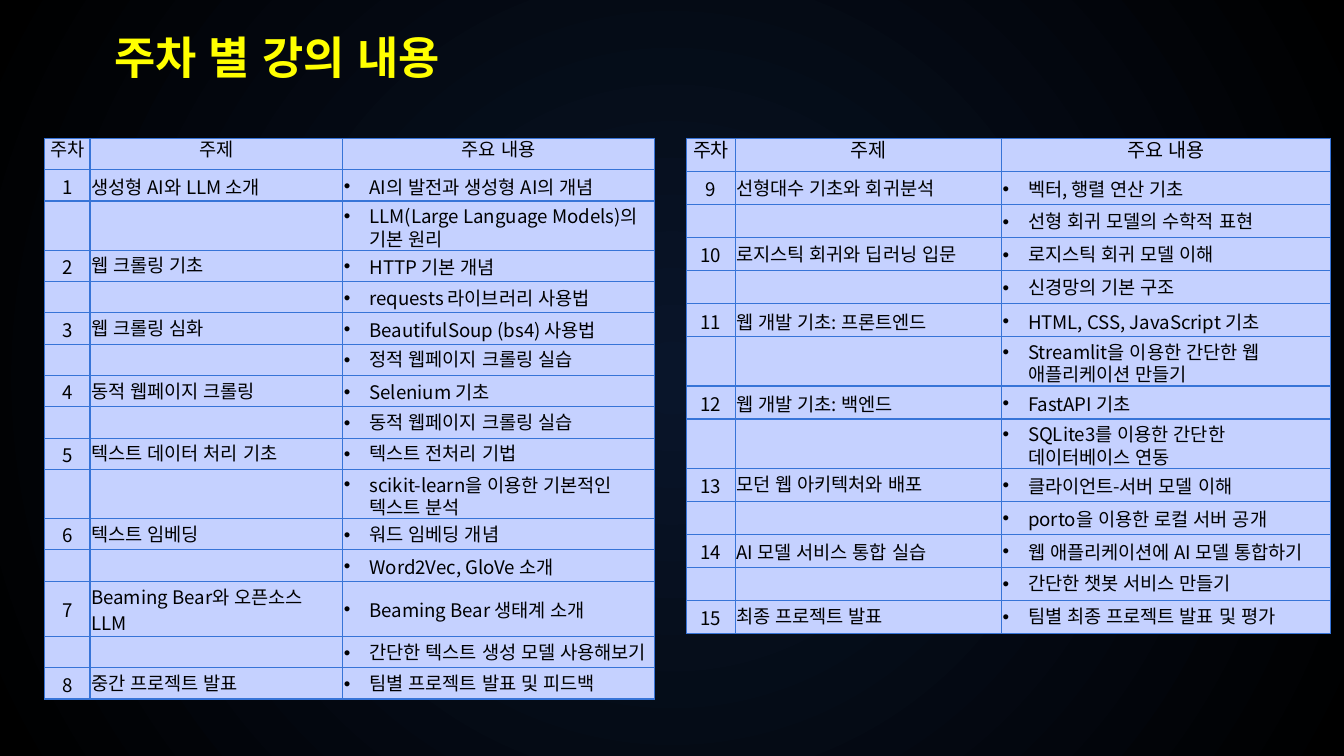
"""Build the weekly lecture plan slide."""
from lxml import etree
from pptx import Presentation
from pptx.dml.color import RGBColor
from pptx.enum.text import MSO_ANCHOR, PP_ALIGN
from pptx.oxml.ns import qn
from pptx.util import Inches, Pt

LEFT, CENTER = PP_ALIGN.LEFT, PP_ALIGN.CENTER
TOP, MIDDLE = MSO_ANCHOR.TOP, MSO_ANCHOR.MIDDLE
BLACK = RGBColor(0x00, 0x00, 0x00)
NAVY = RGBColor(0x09, 0x15, 0x2A)
YELLOW = RGBColor(0xFF, 0xFF, 0x00)
PALE = RGBColor(0xC5, 0xD1, 0xFF)
BLUE = RGBColor(0x37, 0x74, 0xD7)
FONT = "Noto Sans CJK KR"

HEADS = ["주차", "주제", "주요 내용"]
FIRST = [
    ("생성형 AI와 LLM 소개", ["AI의 발전과 생성형 AI의 개념", "LLM(Large Language Models)의 기본 원리"]),
    ("웹 크롤링 기초", ["HTTP 기본 개념", "requests 라이브러리 사용법"]),
    ("웹 크롤링 심화", ["BeautifulSoup (bs4) 사용법", "정적 웹페이지 크롤링 실습"]),
    ("동적 웹페이지 크롤링", ["Selenium 기초", "동적 웹페이지 크롤링 실습"]),
    ("텍스트 데이터 처리 기초", ["텍스트 전처리 기법", "scikit-learn을 이용한 기본적인 텍스트 분석"]),
    ("텍스트 임베딩", ["워드 임베딩 개념", "Word2Vec, GloVe 소개"]),
    ("Beaming Bear와 오픈소스 LLM", ["Beaming Bear 생태계 소개", "간단한 텍스트 생성 모델 사용해보기"]),
    ("중간 프로젝트 발표", ["팀별 프로젝트 발표 및 피드백"]),
]
SECOND = [
    ("선형대수 기초와 회귀분석", ["벡터, 행렬 연산 기초", "선형 회귀 모델의 수학적 표현"]),
    ("로지스틱 회귀와 딥러닝 입문", ["로지스틱 회귀 모델 이해", "신경망의 기본 구조"]),
    ("웹 개발 기초: 프론트엔드", ["HTML, CSS, JavaScript 기초", "Streamlit을 이용한 간단한 웹 애플리케이션 만들기"]),
    ("웹 개발 기초: 백엔드", ["FastAPI 기초", "SQLite3를 이용한 간단한 데이터베이스 연동"]),
    ("모던 웹 아키텍처와 배포", ["클라이언트-서버 모델 이해", "porto을 이용한 로컬 서버 공개"]),
    ("AI 모델 서비스 통합 실습", ["웹 애플리케이션에 AI 모델 통합하기", "간단한 챗봇 서비스 만들기"]),
    ("최종 프로젝트 발표", ["팀별 최종 프로젝트 발표 및 평가"]),
]


def add(node, tag, **attrs):
    """Append a child element with the given attributes."""
    return etree.SubElement(node, qn(tag), **attrs)


def list_rows(topics, start):
    """Give one row per point, with week and topic on the first only."""
    rows = []
    for week, (topic, points) in enumerate(topics, start):
        for i, point in enumerate(points):
            rows.append(["" if i else str(week), "" if i else topic, point])
    return rows


class Deck:
    """Hold the style and the current slide."""

    def __init__(self):
        """Open a deck with one blank wide slide."""
        self.deck = Presentation()
        self.deck.slide_width, self.deck.slide_height = Inches(10), Inches(10 * 9 / 16)
        self.slide = self.deck.slides.add_slide(self.deck.slide_layouts[6])

    def paint(self, inner, outer):
        """Fill the background with a round gradient."""
        fill = self.slide.background.fill
        fill.gradient()
        for stop, color in zip(fill.gradient_stops, (inner, outer)):
            stop.color.rgb = color
        grad = next(self.slide.element.iter(qn("a:gradFill")))
        for line in grad.findall(qn("a:lin")):
            grad.remove(line)
        path = etree.Element(qn("a:path"), path="circle")
        add(path, "a:fillToRect", l="50000", t="50000", r="50000", b="50000")
        grad.find(qn("a:gsLst")).addnext(path)

    def style(self, para, size, color, name=FONT, bold=False):
        """Format every run of a paragraph."""
        for run in para.runs:
            font = run.font
            font.size, font.bold, font.name = Pt(size), bold, name
            font.color.rgb = color
            add(font._element, "a:ea", typeface="Arial")

    def title(self, text, x, y, w, h):
        """Add the slide title."""
        frame = self.slide.shapes.add_textbox(Inches(x), Inches(y), Inches(w), Inches(h)).text_frame
        frame.word_wrap = True
        frame.vertical_anchor = MIDDLE
        frame.text = text
        self.style(frame.paragraphs[0], 24, YELLOW, "Arial", True)

    def bullet(self, para):
        """Give a paragraph a round bullet and a hanging indent."""
        props = para._p.get_or_add_pPr()
        props.set("marL", str(Inches(0.19)))
        props.set("indent", str(-Inches(0.19)))
        add(add(props, "a:buClr"), "a:srgbClr", val=str(BLACK))
        add(props, "a:buFont", typeface="Arial")
        add(props, "a:buChar", char="•")

    def border(self, cell):
        """Draw the four cell borders."""
        props = cell._tc.get_or_add_tcPr()
        for i, side in enumerate("LRTB"):
            line = etree.Element(qn(f"a:ln{side}"), w=str(Pt(0.75)))
            add(add(line, "a:solidFill"), "a:srgbClr", val=str(BLUE))
            props.insert(i, line)

    def cell(self, cell, text, size, align, anchor):
        """Fill and format one table cell."""
        cell.fill.solid()
        cell.fill.fore_color.rgb = PALE
        self.border(cell)
        cell.margin_left = cell.margin_right = cell.margin_top = Inches(0.01)
        cell.margin_bottom = 0
        cell.vertical_anchor = anchor
        para = cell.text_frame.paragraphs[0]
        para.alignment = align
        if text:
            para.text = text
            self.style(para, size, BLACK)
        else:
            add(para._p, "a:endParaRPr", sz=str(size * 100))
        return para

    def table(self, x, y, cols, high, rows, size):
        """Add a plan table whose rows share the height evenly."""
        count = len(rows) + 1
        frame = self.slide.shapes.add_table(
            count, len(cols), Inches(x), Inches(y), Inches(sum(cols)), Inches(high))
        grid = frame.table
        grid.first_row = grid.horz_banding = False
        for col, width in zip(grid.columns, cols):
            col.width = Inches(width)
        for row in grid.rows:
            row.height = Inches(high / count)
        for cell, head in zip(grid.rows[0].cells, HEADS):
            self.cell(cell, head, size, CENTER, TOP)
        for r, row in enumerate(rows, 1):
            for c, text in enumerate(row):
                para = self.cell(grid.cell(r, c), text, 10, LEFT if c else CENTER, MIDDLE)
                if c == 2:
                    self.bullet(para)

    def save(self):
        """Write the deck."""
        self.deck.save("out.pptx")


def main():
    """Build the slide."""
    deck = Deck()
    deck.paint(NAVY, BLACK)
    deck.table(0.33, 1.03, (0.34, 1.88, 2.32), 3.73, list_rows(FIRST, 1), 10)
    deck.table(5.11, 1.03, (0.36, 1.98, 2.45), 3.45, list_rows(SECOND, 9), 10.5)
    deck.title("주차 별 강의 내용", 0.75, 0.11, 8.49, 0.63)
    deck.save()


if __name__ == "__main__":
    main()
